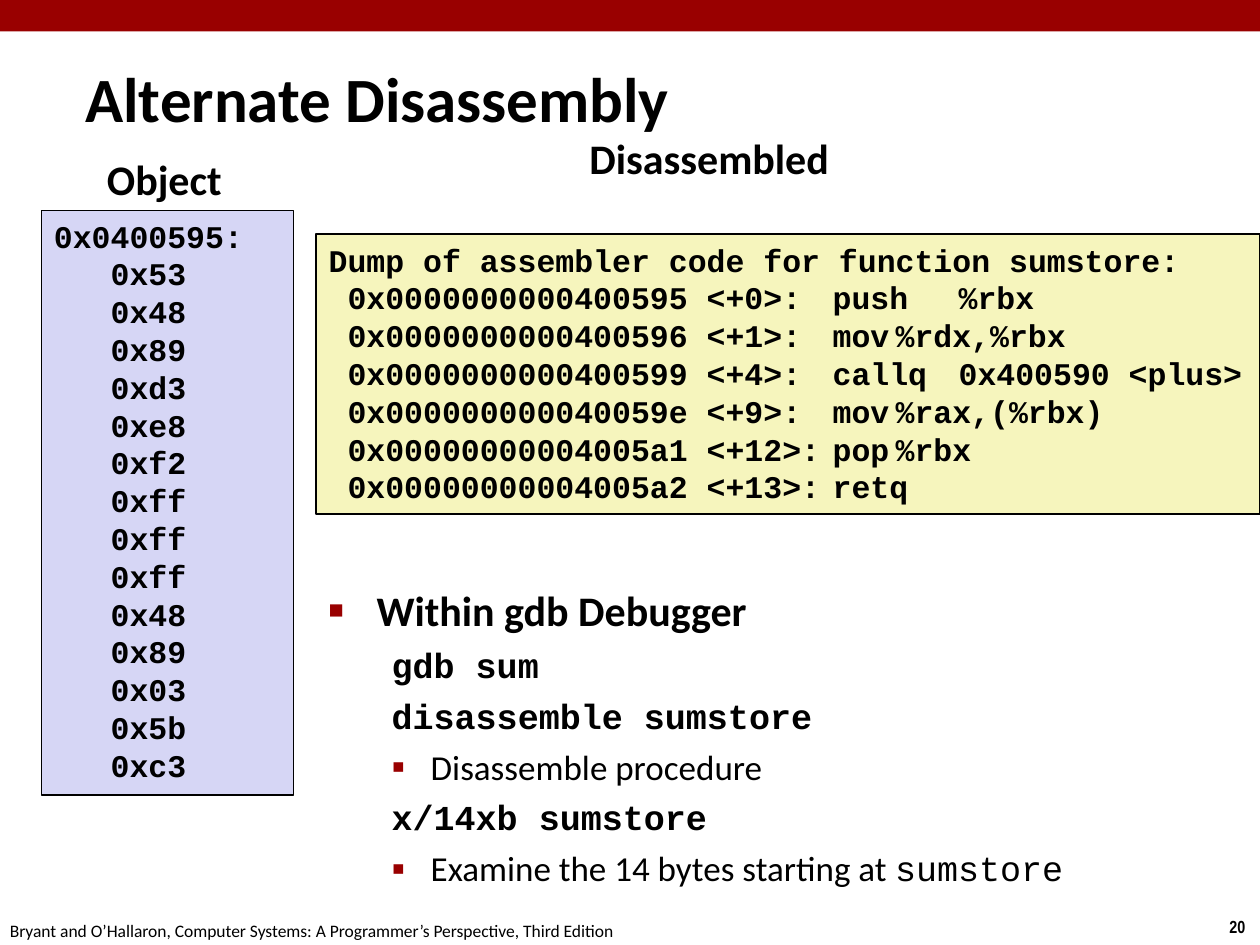
from lxml.etree import SubElement
from pptx import Presentation
from pptx.dml.color import RGBColor
from pptx.enum.shapes import MSO_SHAPE
from pptx.enum.text import MSO_ANCHOR, PP_ALIGN
from pptx.oxml.ns import qn
from pptx.util import Inches, Pt

RED, BLACK, LAVENDER, CREAM = "990000", "000000", "D6D6F5", "F6F5BD"
SANS, MONO = "Calibri", "Courier New"
OBJECT_BYTES = "53 48 89 d3 e8 f2 ff ff ff 48 89 03 5b c3".split()
INSTRUCTIONS = [
    ("400595", 0, "push", "%rbx"),
    ("400596", 1, "mov", "%rdx,%rbx"),
    ("400599", 4, "callq", "0x400590 <plus>"),
    ("40059e", 9, "mov", "%rax,(%rbx)"),
    ("4005a1", 12, "pop", "%rbx"),
    ("4005a2", 13, "retq", ""),
]


def color(hex_string):
    """Turn a hex string into a colour."""
    return RGBColor.from_string(hex_string)


def write(paragraph, text, size=18, font=SANS, bold=False):
    """Add one formatted run to a paragraph."""
    run = paragraph.add_run()
    run.text = text
    run.font.size = Pt(size)
    run.font.name = font
    run.font.bold = bold
    run.font.color.rgb = color(BLACK)


def next_paragraph(frame):
    """Return the empty first paragraph, or a new one after it."""
    first = frame.paragraphs[0]
    return frame.add_paragraph() if first.runs else first


def indent(paragraph, left, first=0):
    """Set the left margin and first-line offset in inches."""
    properties = paragraph._p.get_or_add_pPr()
    properties.set("marL", str(Inches(left)))
    properties.set("indent", str(Inches(first)))


def add_bullet(paragraph, mark, percent):
    """Give a paragraph a red bullet of a relative size."""
    properties = paragraph._p.get_or_add_pPr()
    bullet_color = SubElement(properties, qn("a:buClr"))
    SubElement(bullet_color, qn("a:srgbClr"), val=RED)
    SubElement(properties, qn("a:buSzPct"), val=str(percent * 1000))
    SubElement(properties, qn("a:buFont"), typeface="Arial")
    SubElement(properties, qn("a:buChar"), char=mark)


def add_tabs(paragraph, *positions):
    """Set left tab stops in inches."""
    tabs = SubElement(paragraph._p.get_or_add_pPr(), qn("a:tabLst"))
    for position in positions:
        SubElement(tabs, qn("a:tab"), pos=str(Inches(position)), algn="l")


def add_frame(slide, left, top, width, height, wrap=True):
    """Add an empty text box and return its text frame."""
    box = slide.shapes.add_textbox(*map(Inches, (left, top, width, height)))
    box.text_frame.word_wrap = wrap
    return box.text_frame


def add_panel(slide, left, top, width, height, fill, outlined=True):
    """Add a filled rectangle and return its text frame."""
    panel = slide.shapes.add_shape(
        MSO_SHAPE.RECTANGLE, *map(Inches, (left, top, width, height)))
    panel.shadow.inherit = False
    panel.fill.solid()
    panel.fill.fore_color.rgb = color(fill)
    if outlined:
        panel.line.color.rgb = color(BLACK)
        panel.line.width = Pt(1)
    else:
        panel.line.fill.background()
    panel.text_frame.word_wrap = True
    panel.text_frame.vertical_anchor = MSO_ANCHOR.TOP
    return panel.text_frame


def add_code_line(frame, text, left=0):
    """Add a line of bold code and return its paragraph."""
    line = next_paragraph(frame)
    line.alignment = PP_ALIGN.LEFT
    indent(line, left)
    write(line, text, font=MONO, bold=True)
    return line


def add_object_code(slide):
    """List the bytes of the object code."""
    frame = add_panel(slide, 0.33, 1.67, 2, 4.64, LAVENDER)
    add_code_line(frame, "0x0400595:")
    for byte in OBJECT_BYTES:
        add_code_line(frame, f"0x{byte}", left=0.45)


def add_disassembly(slide):
    """List the disassembled instructions in tabbed columns."""
    frame = add_panel(slide, 2.51, 1.86, 7.49, 2.22, CREAM)
    add_code_line(frame, "Dump of assembler code for function sumstore:")
    for address, offset, operation, operand in INSTRUCTIONS:
        text = f" 0x{address:0>16} <+{offset}>:\t{operation}"
        if operand:
            text += f"\t{operand}"
        add_tabs(add_code_line(frame, text), 3.92, 4.95)


def add_debugger_notes(slide):
    """List the debugger commands and what they do."""
    frame = add_frame(slide, 2.51, 4.59, 6.89, 2.46)

    def add_item(left, first, mark=None, percent=100):
        item = next_paragraph(frame)
        item.space_before = Pt(5)
        indent(item, left, first)
        if mark:
            add_bullet(item, mark, percent)
        return item

    def add_command(text):
        write(add_item(0.81, -0.31), text, size=20, font=MONO, bold=True)

    def add_effect(text, code=""):
        effect = add_item(0.81, -0.31, "▪", 110)
        write(effect, text, size=20)
        if code:
            write(effect, code, size=20, font=MONO)

    heading = add_item(0.38, -0.38, "■", 60)
    write(heading, "Within gdb Debugger", size=24, bold=True)
    add_command("gdb sum")
    add_command("disassemble sumstore")
    add_effect("Disassemble procedure")
    add_command("x/14xb sumstore")
    add_effect("Examine the 14 bytes starting at ", "sumstore")


def add_label(slide, text, left, top, width, height, wrap=True,
              anchor=MSO_ANCHOR.TOP, **text_format):
    """Add a text box that holds one line."""
    frame = add_frame(slide, left, top, width, height, wrap)
    frame.vertical_anchor = anchor
    write(frame.paragraphs[0], text, **text_format)


def main():
    """Build and save the slide."""
    deck = Presentation()
    deck.slide_width, deck.slide_height = Inches(10), Inches(7.5)
    slide = deck.slides.add_slide(deck.slide_layouts[6])

    add_panel(slide, 0, 0, 10, 0.25, RED, outlined=False)
    add_label(slide, "20", 9.66, 7.22, 0.34, 0.27, wrap=False,
              size=10, font="Arial Narrow", bold=True)
    add_label(slide, "Bryant and O’Hallaron, Computer Systems: "
              "A Programmer’s Perspective, Third Edition",
              -0.02, 7.25, 5.08, 0.27, wrap=False, size=10)
    add_label(slide, "Alternate Disassembly", 0.58, 0.46, 6.83, 0.63,
              anchor=MSO_ANCHOR.MIDDLE, size=36, bold=True)
    add_label(slide, "Disassembled", 4.58, 1, 2.85, 0.45, size=24, bold=True)
    add_disassembly(slide)
    add_debugger_notes(slide)
    add_label(slide, "Object", 0.75, 1.17, 1.43, 0.45, size=24, bold=True)
    add_object_code(slide)
    deck.save("out.pptx")


main()
